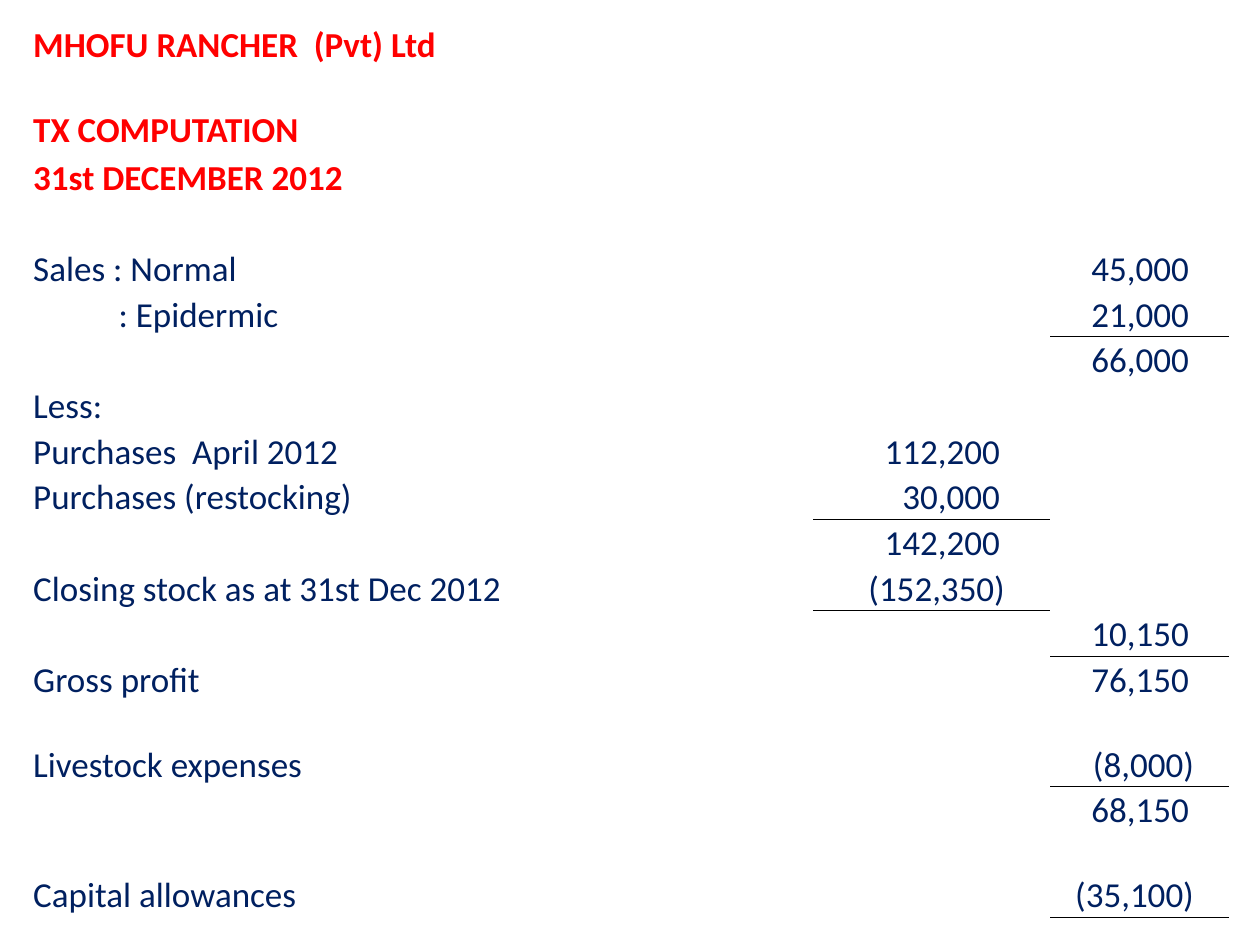
import pptx
import pptx.dml.color
import pptx.enum.text
import pptx.oxml
import pptx.oxml.ns
import pptx.util

Cm = pptx.util.Cm
Pt = pptx.util.Pt

COLORS = {"heading": "FF0000", "text": "002060", "rule": "000000"}
FONT = "Calibri"
COLUMN_WIDTHS = [2.87, 2.87, 2.87, 3.58, 3.58, 4.78, 3.58]
ROW_HEIGHT, SPACED_ROW_HEIGHT, DATE_ROW_HEIGHT = 0.92, 1.71, 0.97
SPACED_ROWS = (1, 14, 16)
DATE_ROW = 2
CELL_MARGIN = 0.03
EPIDERMIC_INDENT = 1.75
DETAIL, TOTAL = 5, 6
AMOUNT_MARGINS = {DETAIL: 1.03, TOTAL: 0.8}
BRACKET_WIDTH = 0.1

# row: (text, columns spanned)
HEADINGS = {
    0: ("MHOFU RANCHER  (Pvt) Ltd", 3),
    1: ("TX COMPUTATION", 2),
    2: ("31st DECEMBER 2012", 3),
}
LABELS = {
    4: ("Sales : Normal", 2),
    5: (": Epidermic", 2),
    7: ("Less:", 1),
    8: ("Purchases  April 2012", 3),
    9: ("Purchases (restocking)", 3),
    11: ("Closing stock as at 31st Dec 2012", 4),
    13: ("Gross profit", 2),
    14: ("Livestock expenses", 2),
    16: ("Capital allowances", 2),
}
# (row, column, amount, ruled off below)
AMOUNTS = [
    (4, TOTAL, "45,000", False),
    (5, TOTAL, "21,000", True),
    (6, TOTAL, "66,000", False),
    (8, DETAIL, "112,200", False),
    (9, DETAIL, "30,000", True),
    (10, DETAIL, "142,200", False),
    (11, DETAIL, "(152,350)", True),
    (12, TOTAL, "10,150", True),
    (13, TOTAL, "76,150", False),
    (14, TOTAL, "(8,000)", True),
    (15, TOTAL, "68,150", False),
    (16, TOTAL, "(35,100)", True),
]
ROW_COUNT = 17


def row_height(row):
    if row in SPACED_ROWS:
        return SPACED_ROW_HEIGHT
    return DATE_ROW_HEIGHT if row == DATE_ROW else ROW_HEIGHT


def add_ledger_table(slide):
    heights = [row_height(row) for row in range(ROW_COUNT)]
    frame = slide.shapes.add_table(
        ROW_COUNT, len(COLUMN_WIDTHS), Cm(0.64), Cm(0.43),
        Cm(sum(COLUMN_WIDTHS)), Cm(sum(heights)))
    table = frame.table
    table.first_row = False
    table.horz_banding = False
    for column, width in zip(table.columns, COLUMN_WIDTHS):
        column.width = Cm(width)
    for row, height in zip(table.rows, heights):
        row.height = Cm(height)
    for cell in table.iter_cells():
        cell.fill.background()
        cell.margin_left = cell.margin_right = cell.margin_top = Cm(CELL_MARGIN)
        cell.margin_bottom = 0
        cell.vertical_anchor = pptx.enum.text.MSO_ANCHOR.BOTTOM
    return table


def write_cell(cell, text, color, bold=False):
    paragraph = cell.text_frame.paragraphs[0]
    run = paragraph.add_run()
    run.text = text
    run.font.name = FONT
    run.font.size = Pt(20)
    run.font.bold = bold
    run.font.color.rgb = pptx.dml.color.RGBColor.from_string(COLORS[color])
    return paragraph


def write_label(table, row, text, span, color, bold=False):
    cell = table.cell(row, 0)
    if span > 1:
        cell.merge(table.cell(row, span - 1))
    write_cell(cell, text, color, bold)
    return cell


def write_amount(table, row, column, amount):
    """Right-align an amount, letting a closing bracket hang past the digits."""
    cell = table.cell(row, column)
    hang = BRACKET_WIDTH if amount.endswith(")") else 0
    cell.margin_right = Cm(AMOUNT_MARGINS[column] - hang)
    paragraph = write_cell(cell, amount, "text")
    paragraph.alignment = pptx.enum.text.PP_ALIGN.RIGHT


def add_border(cell, side):
    line = pptx.oxml.parse_xml(
        f'<a:{side} {pptx.oxml.ns.nsdecls("a")} w="{Pt(0.5)}"><a:solidFill>'
        f'<a:srgbClr val="{COLORS["rule"]}"/></a:solidFill></a:{side}>')
    cell._tc.get_or_add_tcPr().insert(0, line)


def rule_off(table, row, column):
    add_border(table.cell(row, column), "lnB")
    if row + 1 < ROW_COUNT:
        add_border(table.cell(row + 1, column), "lnT")


def main():
    presentation = pptx.Presentation()
    presentation.slide_width = Cm(25.4)
    presentation.slide_height = Cm(19.05)
    slide = presentation.slides.add_slide(presentation.slide_layouts[6])

    table = add_ledger_table(slide)
    for row, (text, span) in HEADINGS.items():
        write_label(table, row, text, span, "heading", bold=True)
    for row, (text, span) in LABELS.items():
        cell = write_label(table, row, text, span, "text")
        if text.startswith(":"):
            cell.margin_left = Cm(EPIDERMIC_INDENT)
    for row, column, amount, ruled in AMOUNTS:
        write_amount(table, row, column, amount)
        if ruled:
            rule_off(table, row, column)

    presentation.save("out.pptx")


if __name__ == "__main__":
    main()
